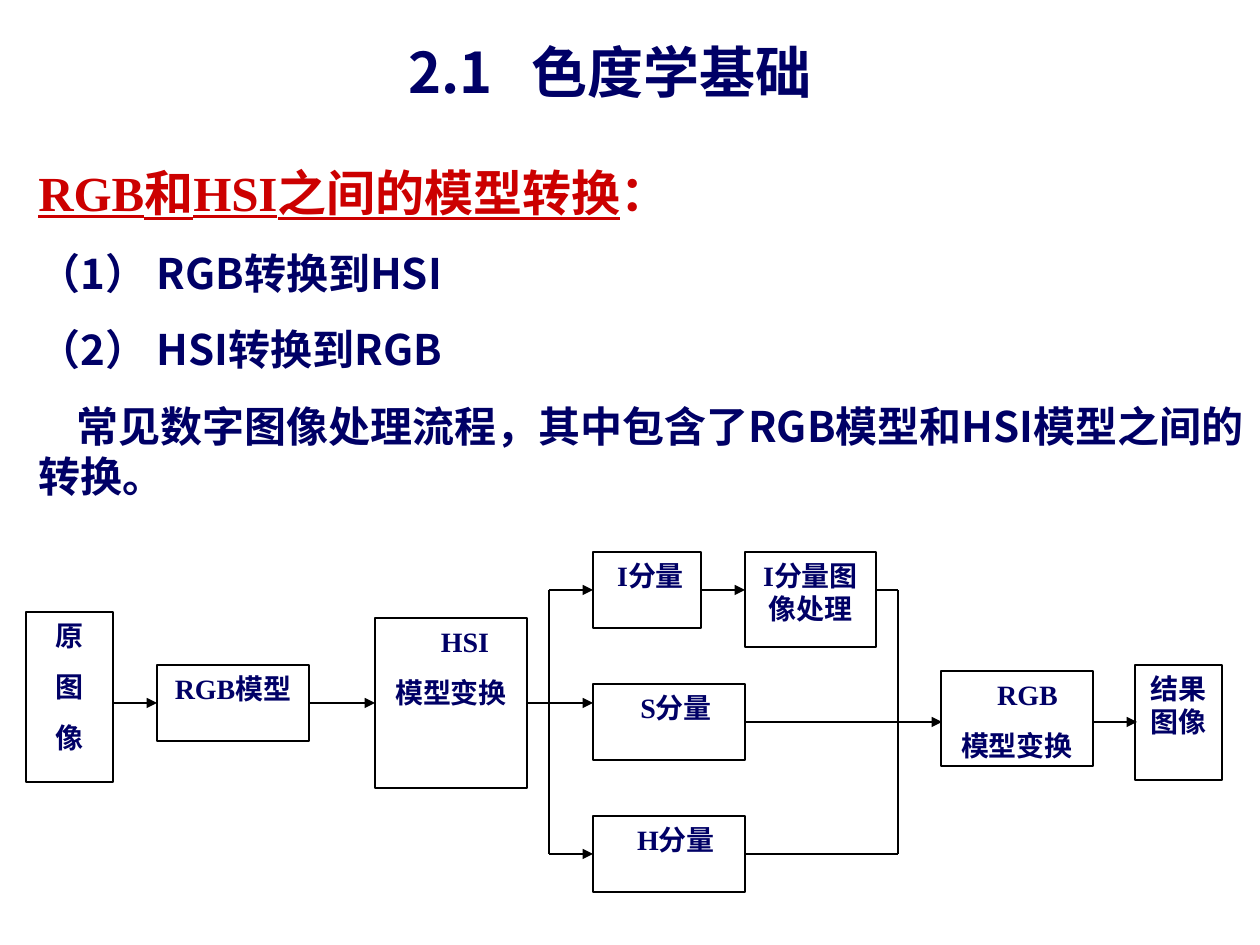
import dataclasses

import lxml.etree
import pptx
import pptx.dml.color
import pptx.enum.shapes
import pptx.enum.text
import pptx.oxml.ns
import pptx.util

PX = 914400 / 126
LEFT, RIGHT = 1, 3


@dataclasses.dataclass(frozen=True)
class Theme:
    navy: str = "000066"
    red: str = "CC0000"
    black: str = "000000"
    white: str = "FFFFFF"
    sans: str = "Noto Sans CJK SC"
    serif: str = "Times New Roman"
    title: int = 32
    heading: int = 28
    body: int = 24
    node: int = 16
    line: float = 0.75


THEME = Theme()


def emu(length):
    return pptx.util.Emu(round(length * PX))


def rgb(value):
    return pptx.dml.color.RGBColor.from_string(value)


def add_xml(parent, tag, **attributes):
    return lxml.etree.SubElement(parent, pptx.oxml.ns.qn(tag), **attributes)


def style(para, size, face, colour):
    font = para.font
    font.size = pptx.util.Pt(size)
    font.bold = True
    font.name = face
    font.color.rgb = rgb(colour)
    defaults = para._p.pPr.find(pptx.oxml.ns.qn("a:defRPr"))
    add_xml(defaults, "a:ea", typeface=THEME.sans)


def add_text_box(page, x, y, width, height):
    box = page.shapes.add_textbox(emu(x), emu(y), emu(width), emu(height))
    box.text_frame.word_wrap = True
    return box.text_frame


def next_paragraph(frame, index, gap):
    if index == 0:
        return frame.paragraphs[0]
    para = frame.add_paragraph()
    para.space_before = pptx.util.Pt(gap)
    return para


def add_title(page, x, y, width, height):
    frame = add_text_box(page, x, y, width, height)
    frame.vertical_anchor = pptx.enum.text.MSO_ANCHOR.MIDDLE
    para = frame.paragraphs[0]
    para.text = "2.1\t色度学基础"
    tabs = add_xml(para._p.get_or_add_pPr(), "a:tabLst")
    add_xml(tabs, "a:tab", pos=str(emu(123)), algn="l")
    style(para, THEME.title, THEME.sans, THEME.navy)


def add_body(page, x, y, width, height):
    frame = add_text_box(page, x, y, width, height)
    frame.auto_size = pptx.enum.text.MSO_AUTO_SIZE.SHAPE_TO_FIT_TEXT
    heading = frame.paragraphs[0]
    span = heading.add_run()
    span.text = "RGB和HSI之间的模型转换"
    span.font.underline = True
    heading.add_run().text = "："
    style(heading, THEME.heading, THEME.serif, THEME.red)
    lines = (
        ("（1） RGB转换到HSI", 0),
        ("（2） HSI转换到RGB", 0),
        ("常见数字图像处理流程，其中包含了RGB模型和HSI模型之间的转换。", 38),
    )
    for index, (text, indent) in enumerate(lines, 1):
        para = next_paragraph(frame, index, 15)
        para.text = text
        para._p.get_or_add_pPr().set("indent", str(emu(indent)))
        style(para, THEME.body, THEME.sans, THEME.navy)


def add_node(page, x, y, width, height, lines, shift):
    box = page.shapes.add_shape(
        pptx.enum.shapes.MSO_SHAPE.RECTANGLE, emu(x), emu(y), emu(width), emu(height)
    )
    box.shadow.inherit = False
    box.fill.solid()
    box.fill.fore_color.rgb = rgb(THEME.white)
    box.line.color.rgb = rgb(THEME.black)
    box.line.width = pptx.util.Pt(THEME.line)
    frame = box.text_frame
    frame.word_wrap = True
    frame.vertical_anchor = pptx.enum.text.MSO_ANCHOR.TOP
    for index, text in enumerate(lines):
        para = next_paragraph(frame, index, 10)
        para.text = text
        para.alignment = pptx.enum.text.PP_ALIGN.CENTER
        if index == 0:
            para._p.get_or_add_pPr().set("marL", str(emu(shift)))
        style(para, THEME.node, THEME.serif, THEME.navy)
    return box


def add_link(page, start, end, arrow, source=None, target=None):
    link = page.shapes.add_connector(
        pptx.enum.shapes.MSO_CONNECTOR.STRAIGHT, *map(emu, (*start, *end))
    )
    if source is not None:
        link.begin_connect(source, RIGHT)
    if target is not None:
        link.end_connect(target, LEFT)
    link.line.color.rgb = rgb(THEME.black)
    link.line.width = pptx.util.Pt(THEME.line)
    if arrow:
        add_xml(link.line._get_or_add_ln(), "a:tailEnd", type="triangle")
    add_xml(link._element.spPr, "a:effectLst")


def add_flow(page, left, top):
    wide, low = 152, 76
    nodes = {
        "source": (0, 60, 87, 170, ("原", "图", "像"), 0),
        "rgb": (131, 113, wide, low, ("RGB模型",), 0),
        "hsi": (349, 66, wide, 170, ("HSI", "模型变换"), 28),
        "i": (567, 0, 108, low, ("I分量",), 7),
        "i_process": (719, 0, 131, 95, ("I分量图像处理",), 0),
        "s": (567, 132, wide, low, ("S分量",), 14),
        "h": (567, 264, wide, low, ("H分量",), 14),
        "back": (915, 119, wide, 95, ("RGB", "模型变换"), 21),
        "result": (1109, 113, 87, 115, ("结果图像",), 0),
    }
    boxes = {
        name: add_node(page, left + x, top + y, *rest)
        for name, (x, y, *rest) in nodes.items()
    }
    upper, middle, output, lower = 38, 151, 170, 302
    split, merge = 523, 872
    links = (
        ((87, middle), (131, middle), True, None, "rgb"),
        ((283, middle), (349, middle), True, "rgb", "hsi"),
        ((501, middle), (567, middle), True, "hsi", None),
        ((split, upper), (split, lower), False, None, None),
        ((split, upper), (567, upper), True, None, "i"),
        ((split, lower), (567, lower), True, None, "h"),
        ((675, upper), (719, upper), True, "i", None),
        ((850, upper), (merge, upper), False, None, None),
        ((719, lower), (merge, lower), False, "h", None),
        ((merge, lower), (merge, upper), False, None, None),
        ((719, output), (916, output), True, "s", None),
        ((1068, output), (1111, output), True, None, None),
    )
    for (x1, y1), (x2, y2), arrow, source, target in links:
        add_link(
            page,
            (left + x1, top + y1),
            (left + x2, top + y2),
            arrow,
            boxes.get(source),
            boxes.get(target),
        )


def main():
    deck = pptx.Presentation()
    deck.slide_width, deck.slide_height = emu(1260), emu(945)
    page = deck.slides.add_slide(deck.slide_layouts[6])
    add_title(page, 396, 32, 467, 79)
    add_body(page, 26, 156, 1234, 428)
    add_flow(page, 26, 552)
    deck.save("out.pptx")


if __name__ == "__main__":
    main()
